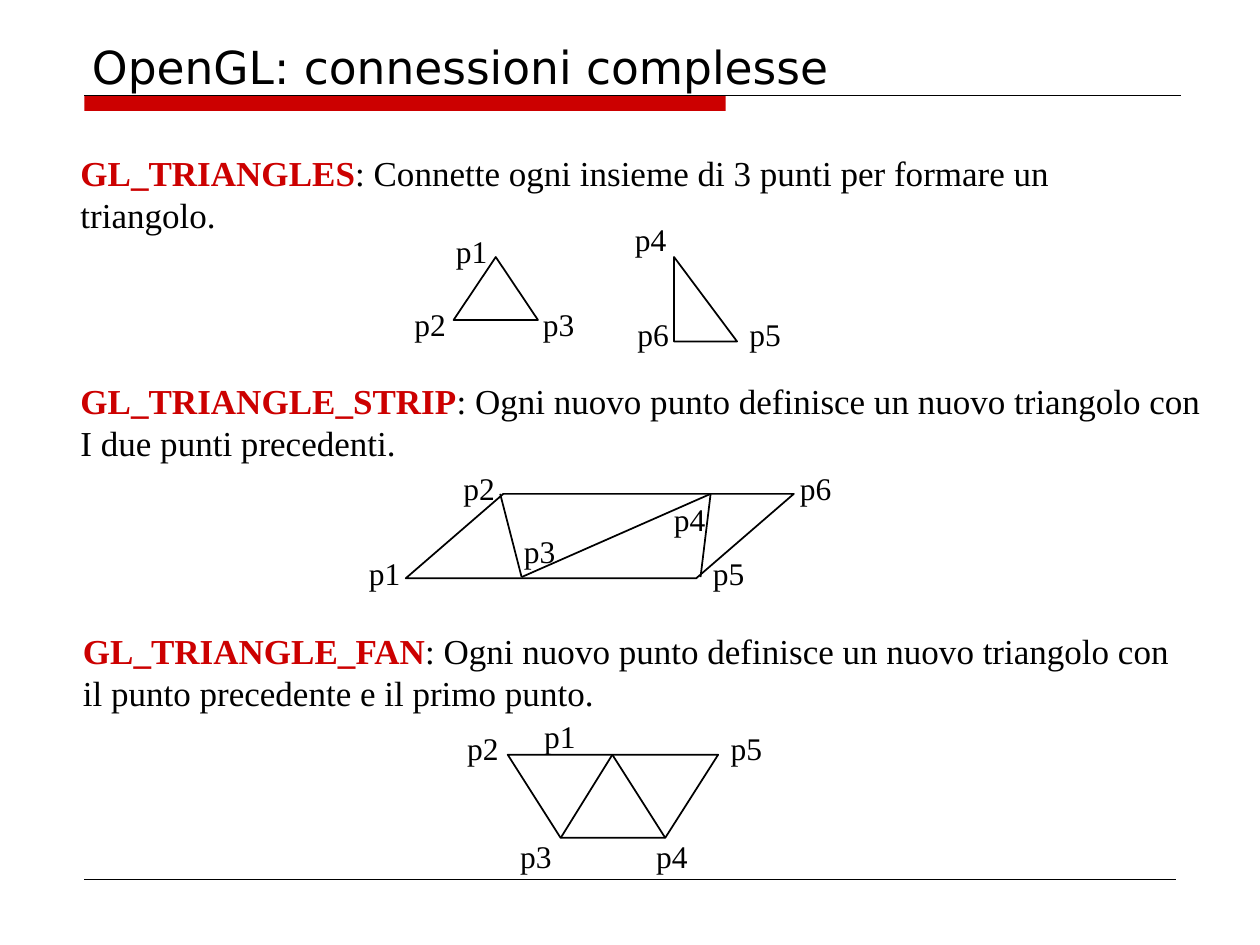
from lxml import etree
from pptx import Presentation
from pptx.dml.color import RGBColor
from pptx.enum import shapes, text
from pptx.oxml import ns
from pptx.util import Inches, Pt

RED = RGBColor(0xCC, 0, 0)
BLACK = RGBColor(0, 0, 0)
SERIF = "Times New Roman"

deck = Presentation()
deck.slide_width, deck.slide_height = Inches(10), Inches(7.5)
slide = deck.slides.add_slide(deck.slide_layouts[5])
items = slide.shapes


def rule(start, end, width=1):
    """Draw a straight black line without a shadow."""
    ends = [Inches(n) for n in (*start, *end)]
    line = items.add_connector(shapes.MSO_CONNECTOR.STRAIGHT, *ends)
    line.line.color.rgb = BLACK
    line.line.width = Pt(width)
    etree.SubElement(line.element.spPr, ns.qn("a:effectLst"))


def write(box, runs, size, before=0):
    """Add a text box with runs given as (wording, colour, bold)."""
    shape = items.add_textbox(*[Inches(n) for n in box])
    frame = shape.text_frame
    frame.word_wrap = True
    frame.auto_size = text.MSO_AUTO_SIZE.SHAPE_TO_FIT_TEXT
    para = frame.paragraphs[0]
    para.space_before = Pt(before)
    for words, color, bold in runs:
        run = para.add_run()
        run.text = words
        look = {"name": SERIF, "size": Pt(size), "bold": bold}
        for key, value in look.items():
            setattr(run.font, key, value)
        run.font.color.rgb = color


# Red bar and thin rules, with the title in front
bar = items.add_shape(shapes.MSO_SHAPE.RECTANGLE, Inches(0.67), Inches(0.76),
                      Inches(5.09), Inches(0.12))
bar.shadow.inherit = False
bar.fill.solid()
bar.fill.fore_color.rgb = RED
bar.line.fill.background()
rule((0.67, 0.76), (9.37, 0.76), 0.75)
rule((0.67, 6.98), (9.33, 6.98), 0.25)

title = items.title
title.element.getparent().append(title.element)
place = {"left": 0.63, "top": 0.05, "width": 8.75, "height": 0.74}
for key, value in place.items():
    setattr(title, key, Inches(value))
title.text = "OpenGL: connessioni complesse"
frame = title.text_frame
frame.auto_size = text.MSO_AUTO_SIZE.NONE
frame.vertical_anchor = text.MSO_ANCHOR.BOTTOM
head = frame.paragraphs[0]
head.alignment = text.PP_ALIGN.LEFT
font = head.runs[0].font
for key, value in {"name": "DejaVu Sans", "size": Pt(26)}.items():
    setattr(font, key, value)
font.color.rgb = BLACK

# Definitions
for box, term, words in [
    ((0.54, 1.15, 8.6, 0.77), "GL_TRIANGLES",
     ": Connette ogni insieme di 3 punti per formare un triangolo."),
    ((0.54, 2.96, 9.18, 0.77), "GL_TRIANGLE_STRIP",
     ": Ogni nuovo punto definisce un nuovo triangolo con "
     "I due punti precedenti."),
    ((0.56, 4.95, 8.93, 0.77), "GL_TRIANGLE_FAN",
     ": Ogni nuovo punto definisce un nuovo triangolo con "
     "il punto precedente e il primo punto."),
]:
    write(box, [(term, RED, True), (words, BLACK, False)], 20)

# Outlines: two triangles, the strip and the fan
KIND = shapes.MSO_SHAPE
forms = [
    items.add_shape(kind, *[Inches(n) for n in box])
    for kind, box in [
        (KIND.ISOSCELES_TRIANGLE, (3.6, 2.04, 0.67, 0.5)),
        (KIND.RIGHT_TRIANGLE, (5.35, 2.04, 0.5, 0.67)),
        (KIND.PARALLELOGRAM, (3.22, 3.92, 3.08, 0.67)),
    ]
]
forms[2].adjustments[0] = 1.156
fan = [(4.03, 5.99), (5.7, 5.99), (5.28, 6.65), (4.45, 6.65)]
points = [(Inches(x), Inches(y)) for x, y in fan]
pen = items.build_freeform(*points[0])
pen.add_line_segments(points[1:], close=True)
forms.append(pen.convert_to_shape())
for form in forms:
    form.shadow.inherit = False
    form.fill.background()
    form.line.color.rgb = BLACK
    form.line.width = Pt(1)

# Inner edges
strip = [(3.97, 3.92), (4.14, 4.58), (5.64, 3.92), (5.56, 4.58)]
for start, end in zip(strip, strip[1:]):
    rule(start, end)
for end in fan[2:]:
    rule((4.86, 5.99), end)

# Point labels, p1 onwards in each figure
for spots in [
    [(3.52, 1.79), (3.19, 2.37), (4.21, 2.37),
     (4.94, 1.7), (5.85, 2.45), (4.96, 2.45)],
    [(2.83, 4.35), (3.58, 3.67), (4.06, 4.17),
     (5.25, 3.92), (5.56, 4.35), (6.25, 3.67)],
    [(4.22, 5.64), (3.61, 5.74), (4.03, 6.59), (5.11, 6.59), (5.7, 5.74)],
]:
    for num, (x, y) in enumerate(spots, 1):
        write((x, y, 0.64, 0.4), [(f"p{num}", BLACK, False)], 18, 11.2)

deck.save("out.pptx")
